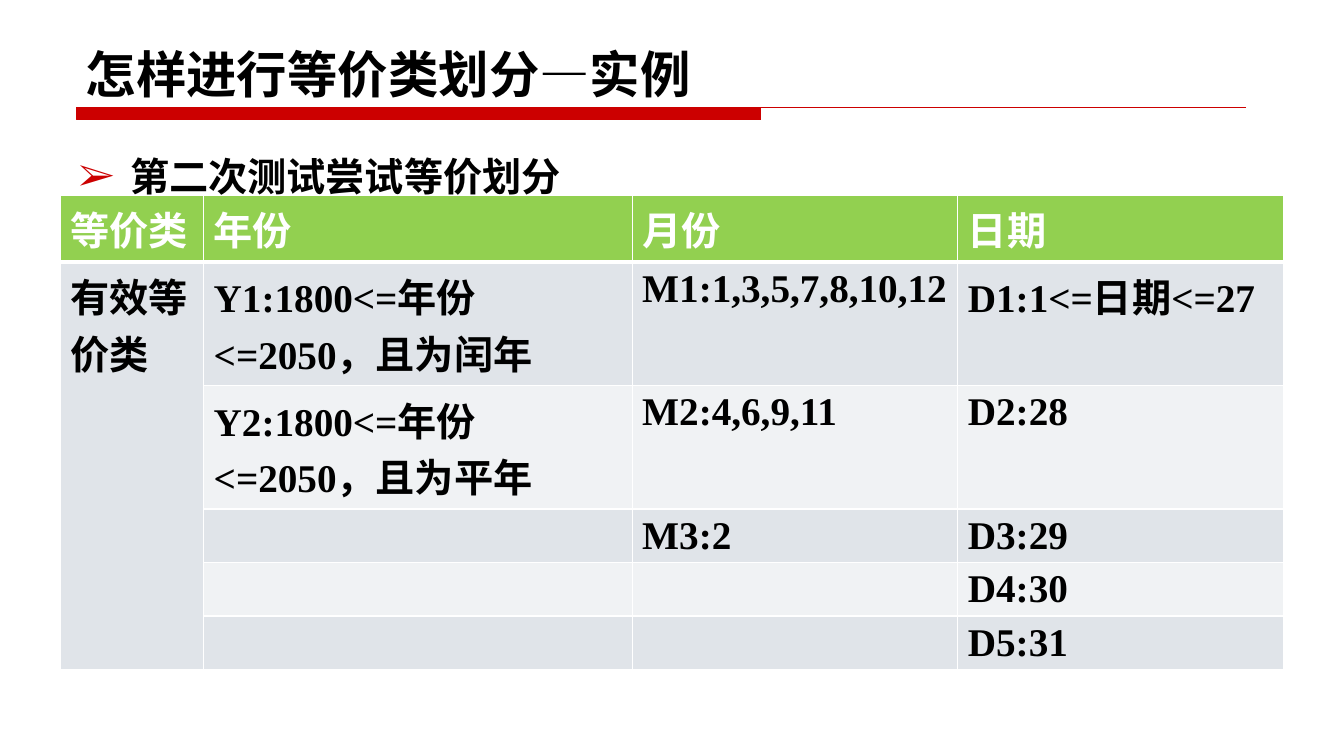
import pptx
import pptx.util
import pptx.dml.color
import pptx.enum.text
import pptx.oxml
import pptx.oxml.ns
from lxml import etree

Inches = pptx.util.Inches
Pt = pptx.util.Pt
SANS = "Noto Sans CJK SC"
SERIF = "Times New Roman"
RED, GREEN, WHITE, BLACK = "CC0000", "92D050", "FFFFFF", "000000"
BANDS = ["E0E4E9", "F0F2F4"]
WIDTHS = [1.42, 4.25, 3.23, 3.23]
HEIGHTS = [0.65, 1.22, 1.22, 0.53, 0.53, 0.53]
ROWS = [
    ["等价类", "年份", "月份", "日期"],
    ["有效等价类", "Y1:1800<=年份<=2050，且为闰年", "M1:1,3,5,7,8,10,12", "D1:1<=日期<=27"],
    ["", "Y2:1800<=年份<=2050，且为平年", "M2:4,6,9,11", "D2:28"],
    ["", "", "M3:2", "D3:29"],
    ["", "", "", "D4:30"],
    ["", "", "", "D5:31"],
]


def color(code):
    """Turn a hex string into a colour."""
    return pptx.dml.color.RGBColor.from_string(code)


def sub(parent, tag, **attrs):
    """Append a drawing element and return it."""
    return etree.SubElement(parent, pptx.oxml.ns.qn("a:" + tag), attrs)


def style(para, size, face, code):
    """Set the bold font of a paragraph."""
    font = para.font
    font.size, font.name, font.bold = Pt(size), face, True
    font.color.rgb = color(code)
    sub(para._p.pPr.find(pptx.oxml.ns.qn("a:defRPr")), "ea", typeface=SANS)


def place(shape, box):
    """Move a shape to a box given in inches."""
    shape.left, shape.top, shape.width, shape.height = map(Inches, box)


def add_rule(slide, box):
    """Draw the thick bar and the thin line along its top as one outline."""
    left, top, width, height = box
    right, mid, low = left + width, left + width * 0.585, top + height
    pen = slide.shapes.build_freeform(
        Inches(left), Inches(top), scale=1.0)
    spots = [(mid, top), (mid, low), (left, low)]
    pen.add_line_segments([(Inches(x), Inches(y)) for x, y in spots], close=True)
    pen.move_to(Inches(left), Inches(top))
    pen.add_line_segments([(Inches(right), Inches(top))], close=False)
    rule = pen.convert_to_shape()
    rule.shadow.inherit = False
    rule.fill.solid()
    rule.fill.fore_color.rgb = color(RED)
    rule.line.color.rgb = color(RED)
    rule.line.width = Pt(0.75)


def add_title(slide, box, text):
    """Fill the title placeholder."""
    title = slide.shapes.title
    place(title, box)
    frame = title.text_frame
    frame.text = text
    frame.vertical_anchor = pptx.enum.text.MSO_ANCHOR.BOTTOM
    para = frame.paragraphs[0]
    para.alignment = pptx.enum.text.PP_ALIGN.LEFT
    style(para, 36, SANS, BLACK)


def add_list(slide, box, text):
    """Fill the body placeholder with one bulleted line."""
    body = slide.placeholders[1]
    place(body, box)
    body.text_frame.text = text
    para = body.text_frame.paragraphs[0]
    para.line_spacing = 1.5
    para.space_before = Pt(5.6)
    props = para._p.get_or_add_pPr()
    props.set("marL", str(Inches(0.51)))
    props.set("indent", str(Inches(-0.51)))
    sub(sub(props, "buClr"), "srgbClr", val=RED)
    sub(props, "buFont", typeface=SERIF)
    sub(props, "buChar", char="➢")
    style(para, 28, SANS, BLACK)


def edge(cell, side, width):
    """Draw one white border of a cell."""
    line = sub(cell._tc.get_or_add_tcPr(), "ln" + side, w=str(Pt(width)))
    sub(sub(line, "solidFill"), "srgbClr", val=WHITE)


def add_grid(slide, box):
    """Build the table of classes."""
    grid = slide.shapes.add_table(len(ROWS), len(WIDTHS), *map(Inches, box)).table
    for col, width in zip(grid.columns, WIDTHS):
        col.width = Inches(width)
    for r, (row, height) in enumerate(zip(ROWS, HEIGHTS)):
        grid.rows[r].height = Inches(height)
        for c, text in enumerate(row):
            cell = grid.cell(r, c)
            for side in "LRTB":
                thick = (r, side) in [(0, "B"), (1, "T")]
                edge(cell, side, 3 if thick else 1)
            cell.fill.solid()
            band = BANDS[0] if c == 0 else BANDS[(r - 1) % 2]
            cell.fill.fore_color.rgb = color(band if r else GREEN)
            if text:
                cell.text = text
            style(cell.text_frame.paragraphs[0], 28, SERIF, BLACK if r else WHITE)
    grid.cell(1, 0).merge(grid.cell(len(ROWS) - 1, 0))


def main():
    """Build and save the slide."""
    deck = pptx.Presentation()
    deck.slide_width, deck.slide_height = Inches(13.33), Inches(7.5)
    slide = deck.slides.add_slide(deck.slide_layouts[1])
    add_rule(slide, (0.76, 1.07, 11.6, 0.12))
    add_title(slide, (0.75, 0.29, 11.67, 0.79), "怎样进行等价类划分—实例")
    add_list(slide, (0.68, 1.23, 11.67, 4.67), "第二次测试尝试等价划分")
    add_grid(slide, (0.6, 1.94, sum(WIDTHS), sum(HEIGHTS)))
    deck.save("out.pptx")


main()
